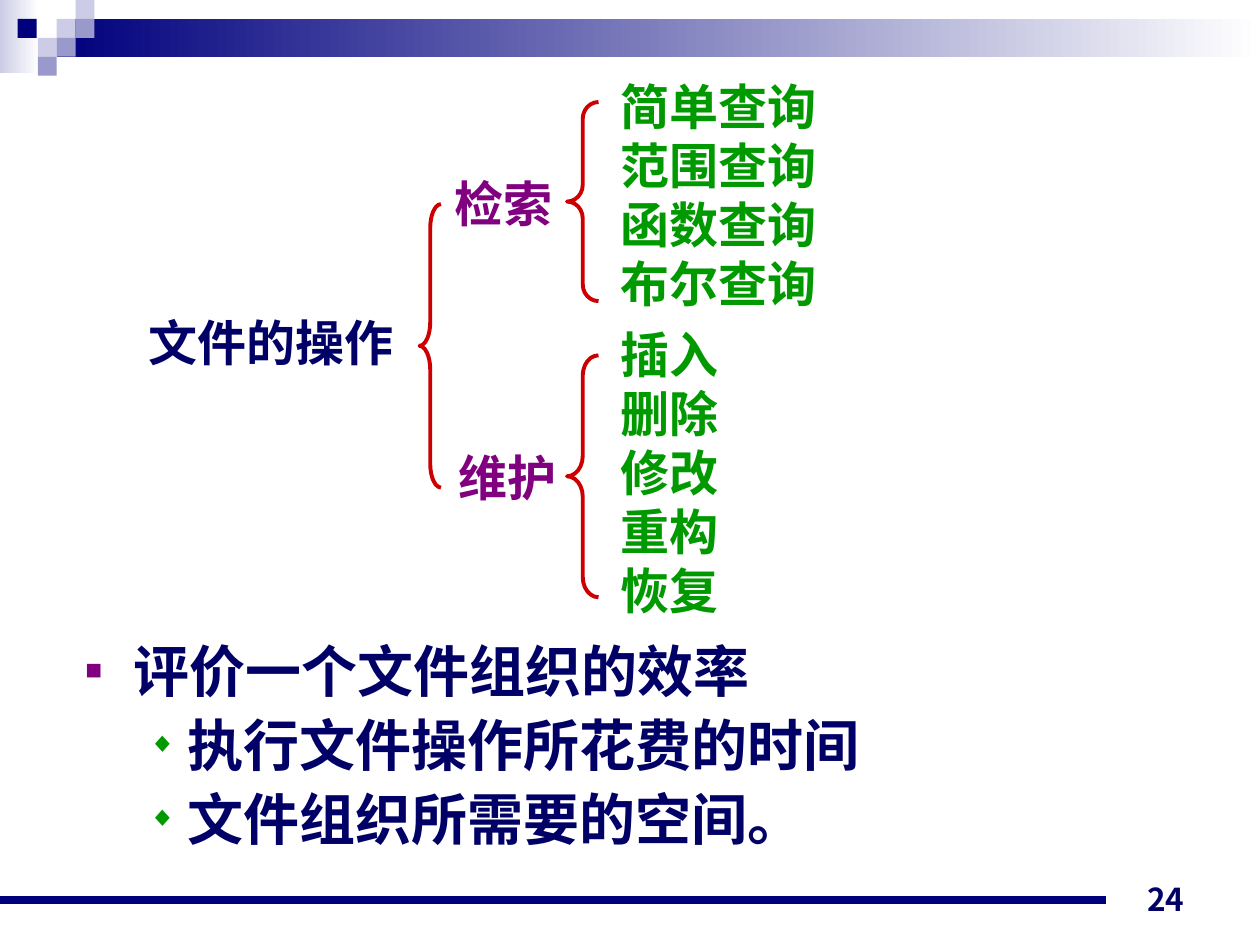
from dataclasses import dataclass
from typing import NamedTuple

from lxml.etree import SubElement
from pptx import Presentation
from pptx.dml.color import RGBColor
from pptx.enum.shapes import MSO_CONNECTOR, MSO_SHAPE
from pptx.enum.text import MSO_ANCHOR, MSO_AUTO_SIZE, PP_ALIGN
from pptx.oxml.ns import qn
from pptx.util import Inches, Pt


@dataclass(frozen=True)
class Theme:
    navy: str = "00007D"
    ink: str = "000066"
    purple: str = "800080"
    green: str = "009900"
    red: str = "CC0000"
    pale: str = "CCCCE6"
    lilac: str = "9999CC"
    white: str = "FFFFFF"
    tree_font: str = "Times New Roman"
    body_font: str = "Arial"
    number_font: str = "Noto Sans CJK JP"
    tree_size: int = 28
    body_size: int = 32
    number_size: int = 18


THEME = Theme()
TILE = 0.15


class Area(NamedTuple):
    left: float
    top: float
    width: float
    height: float


class Band(NamedTuple):
    area: Area
    start: str


class Tile(NamedTuple):
    left: float
    row: int
    colour: str


class Label(NamedTuple):
    area: Area
    lines: list[str]
    colour: str


class Brace(NamedTuple):
    area: Area
    curl: float


class Point(NamedTuple):
    text: str
    level: int
    margin: float
    hanging: float
    bullet: str
    colour: str


BANDS = [
    Band(Area(0, 0, 0.31, 0.58), THEME.pale),
    Band(Area(0.45, 0.15, 9.55, 0.3), THEME.navy),
]
TILES = [
    Tile(0.45, 1, THEME.pale),
    Tile(0.6, 0, THEME.pale),
    Tile(0.6, 1, THEME.lilac),
    Tile(0.3, 2, THEME.pale),
    Tile(0.14, 1, THEME.navy),
    Tile(0.45, 2, THEME.lilac),
    Tile(0.3, 3, THEME.lilac),
]
LABELS = [
    Label(Area(1.08, 2.43, 2.15, 0.57), ["文件的操作"], THEME.ink),
    Label(Area(3.51, 1.33, 0.98, 0.57), ["检索"], THEME.purple),
    Label(Area(3.54, 3.5, 0.98, 0.57), ["维护"], THEME.purple),
    Label(Area(4.83, 0.56, 1.76, 1.97),
          ["简单查询", "范围查询", "函数查询", "布尔查询"], THEME.green),
    Label(Area(4.83, 2.53, 0.98, 2.44),
          ["插入", "删除", "修改", "重构", "恢复"], THEME.green),
]
BRACES = [
    Brace(Area(3.33, 1.62, 0.17, 2.25), 1.12),
    Brace(Area(4.5, 0.81, 0.25, 1.58), 0.53),
    Brace(Area(4.5, 2.82, 0.25, 1.92), 0.64),
]
POINTS = [
    Point("评价一个文件组织的效率", 0, 0.38, 0.38, "■", THEME.purple),
    Point("执行文件操作所花费的时间", 1, 0.81, 0.31, "◆", THEME.green),
    Point("文件组织所需要的空间。", 1, 0.81, 0.31, "◆", THEME.green),
]


def rgb(colour: str) -> RGBColor:
    return RGBColor.from_string(colour)


def add_shape(page, kind: MSO_SHAPE, area: Area):
    shape = page.shapes.add_shape(kind, *map(Inches, area))
    shape.shadow.inherit = False
    return shape


def add_band(page, band: Band) -> None:
    shape = add_shape(page, MSO_SHAPE.RECTANGLE, band.area)
    shape.line.fill.background()
    shape.fill.gradient()
    shape.fill.gradient_angle = 0
    for stop, colour in zip(shape.fill.gradient_stops, (band.start, THEME.white)):
        stop.color.rgb = rgb(colour)


def add_tile(page, tile: Tile) -> None:
    area = Area(tile.left, tile.row * TILE, TILE, TILE)
    shape = add_shape(page, MSO_SHAPE.RECTANGLE, area)
    shape.line.fill.background()
    shape.fill.solid()
    shape.fill.fore_color.rgb = rgb(tile.colour)


def add_brace(page, brace: Brace) -> None:
    shape = add_shape(page, MSO_SHAPE.LEFT_BRACE, brace.area)
    shape.adjustments[0] = brace.curl
    shape.fill.background()
    shape.line.color.rgb = rgb(THEME.red)
    shape.line.width = Pt(2.25)


def add_footer_line(page) -> None:
    line = page.shapes.add_connector(
        MSO_CONNECTOR.STRAIGHT, Inches(0), Inches(7.14), Inches(8.78), Inches(7.14))
    line.line.color.rgb = rgb(THEME.navy)
    line.line.width = Pt(4.5)
    SubElement(line._element.spPr, qn("a:effectLst"))


def add_text(page, area: Area, lines: list[str], font: str, size: int, colour: str):
    box = page.shapes.add_textbox(*map(Inches, area))
    frame = box.text_frame
    frame.word_wrap = True
    frame.text = "\n".join(lines)
    for para in frame.paragraphs:
        for span in para.runs:
            span.font.name = font
            span.font.size = Pt(size)
            span.font.bold = True
            span.font.color.rgb = rgb(colour)
    return frame


def add_label(page, label: Label) -> None:
    frame = add_text(page, label.area, label.lines, THEME.tree_font,
                     THEME.tree_size, label.colour)
    frame.word_wrap = False
    frame.auto_size = MSO_AUTO_SIZE.SHAPE_TO_FIT_TEXT


def set_bullet(para, point: Point) -> None:
    props = para._p.get_or_add_pPr()
    props.set("marL", str(Inches(point.margin)))
    props.set("indent", str(-Inches(point.hanging)))
    SubElement(SubElement(props, qn("a:buClr")), qn("a:srgbClr"), val=point.colour)
    SubElement(props, qn("a:buSzPct"), val="50000")
    SubElement(props, qn("a:buFont"), typeface=THEME.body_font)
    SubElement(props, qn("a:buChar"), char=point.bullet)


def add_points(page, points: list[Point]) -> None:
    frame = add_text(page, Area(0.58, 5, 8.5, 2), [point.text for point in points],
                     THEME.body_font, THEME.body_size, THEME.ink)
    for index, (para, point) in enumerate(zip(frame.paragraphs, points)):
        para.level = point.level
        set_bullet(para, point)
        if index:
            para.space_before = Pt(4)


def add_page_number(page) -> None:
    frame = add_text(page, Area(7.17, 6.83, 2.33, 0.5), ["24"], THEME.number_font,
                     THEME.number_size, THEME.ink)
    frame.vertical_anchor = MSO_ANCHOR.BOTTOM
    frame.paragraphs[0].alignment = PP_ALIGN.RIGHT


def main() -> None:
    deck = Presentation()
    deck.slide_width, deck.slide_height = Inches(10), Inches(7.5)
    page = deck.slides.add_slide(deck.slide_layouts[6])
    for band in BANDS:
        add_band(page, band)
    for tile in TILES:
        add_tile(page, tile)
    add_footer_line(page)
    add_page_number(page)
    add_points(page, POINTS)
    for label in LABELS:
        add_label(page, label)
    for brace in BRACES:
        add_brace(page, brace)
    deck.save("out.pptx")


if __name__ == "__main__":
    main()
